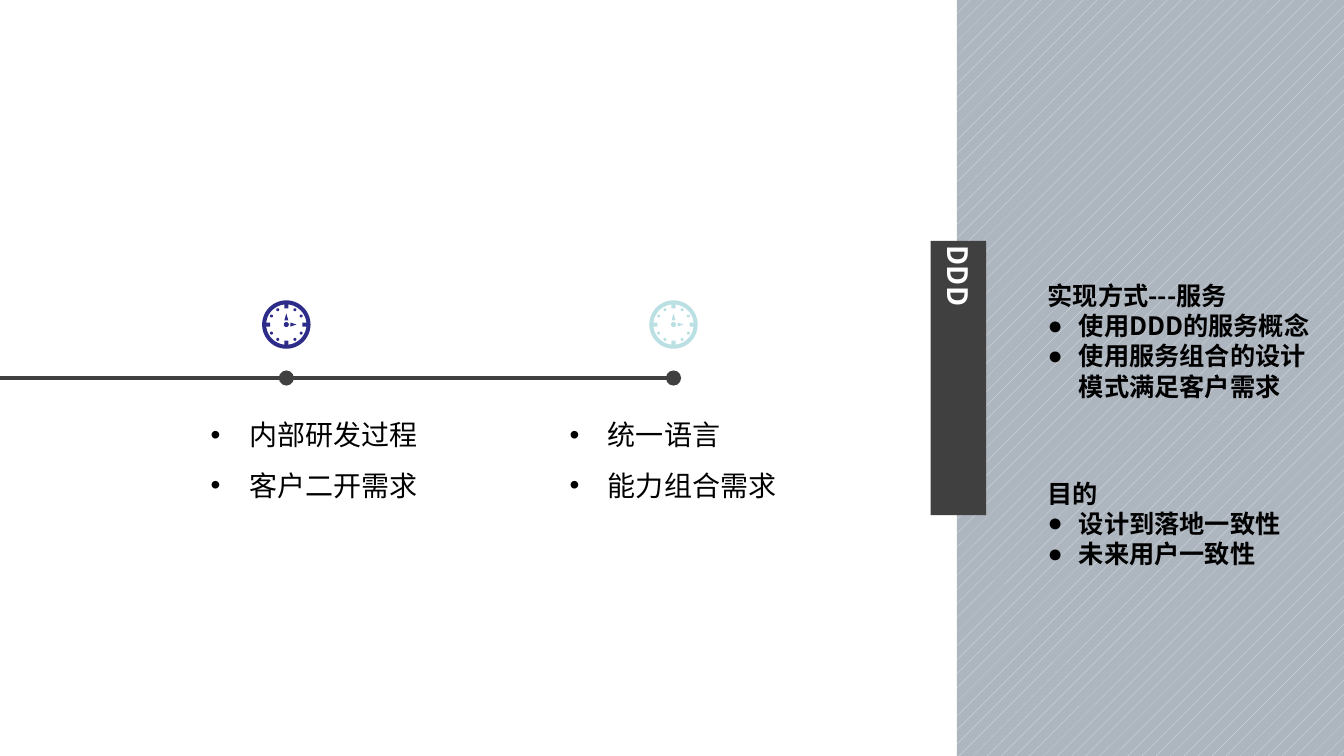
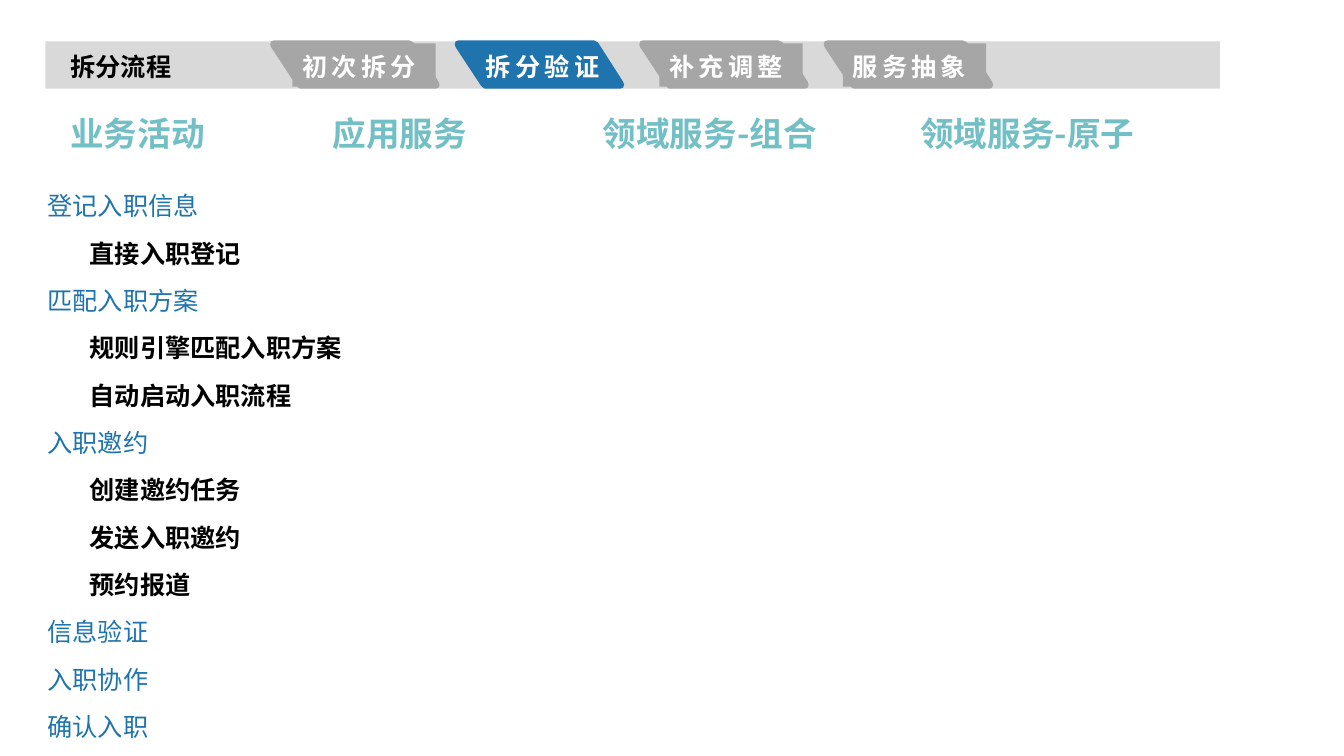
from math import cos, pi, sin

from lxml import etree
from pptx import Presentation
from pptx.dml.color import RGBColor
from pptx.enum import dml, shapes, text
from pptx.oxml.ns import qn
from pptx.util import Inches, Pt

FONT = "Noto Sans CJK SC"
BLACK = RGBColor(0x00, 0x00, 0x00)
WHITE = RGBColor(0xFF, 0xFF, 0xFF)
DARK = RGBColor(0x40, 0x40, 0x40)
NAVY = RGBColor(0x2D, 0x2D, 0x89)
PALE_TEAL = RGBColor(0xBB, 0xE0, 0xE3)
TEAL = RGBColor(0x72, 0xBF, 0xC5)
PANEL = RGBColor(0xAD, 0xB5, 0xBF)
PANEL_HATCH = RGBColor(0xE4, 0xE6, 0xEA)
BAND = RGBColor(0xD9, 0xD9, 0xD9)
GREY = RGBColor(0xA6, 0xA6, 0xA6)
BLUE = RGBColor(0x1F, 0x74, 0xAD)

# Timeline: dot centre x, clock colour, list left, list items
MILESTONES = [
    (2.84, NAVY, 1.99, ["内部研发过程", "客户二开需求"]),
    (6.68, PALE_TEAL, 5.55, ["统一语言", "能力组合需求"]),
]
TIMELINE_Y = 3.75
# Side panel: top, width, height, heading, items
PANEL_NOTES = [
    (2.73, 2.91, 1.31, "实现方式---服务",
     ["使用DDD的服务概念", "使用服务组合的设计模式满足客户需求"]),
    (4.69, 2.74, 1.01, "目的", ["设计到落地一致性", "未来用户一致性"]),
]

STEPS = ["初次拆分", "拆分验证", "补充调整", "服务抽象"]
ACTIVE_STEP = 1
COLUMNS = [(0.6, "业务活动"), (3.2, "应用服务"),
           (5.88, "领域服务-组合"), (9.03, "领域服务-原子")]
ACTIVITIES = [
    ("登记入职信息", ["直接入职登记"]),
    ("匹配入职方案", ["规则引擎匹配入职方案", "自动启动入职流程"]),
    ("入职邀约", ["创建邀约任务", "发送入职邀约", "预约报道"]),
    ("信息验证", []),
    ("入职协作", []),
    ("确认入职", []),
]
ROW_STEP = 0.47

TAB_OUTLINE = [(0.27, 0.45), (0.02, 0.07), (0.01, 0.04), (0.02, 0.01), (0.05, 0),
               (1.39, 0), (1.41, 0.01), (1.43, 0.02), (1.68, 0.41), (1.69, 0.44),
               (1.68, 0.47), (1.65, 0.48), (0.31, 0.48), (0.29, 0.47)]


def paint(sp, color):
    sp.shadow.inherit = False
    sp.fill.solid()
    sp.fill.fore_color.rgb = color
    sp.line.fill.background()


def add_block(slide, box, color, kind=shapes.MSO_SHAPE.RECTANGLE):
    sp = slide.shapes.add_shape(kind, *map(Inches, box))
    paint(sp, color)
    return sp


def add_outline(slide, contours, color):
    """Draw closed contours, given in inches, as one filled shape."""
    points = [[(Inches(x), Inches(y)) for x, y in c] for c in contours]
    builder = slide.shapes.build_freeform(*points[0][0], scale=1.0)
    for i, contour in enumerate(points):
        if i:
            builder.move_to(*contour[0])
        builder.add_line_segments(contour[1:], close=True)
    paint(builder.convert_to_shape(), color)


def bring_forward(ph, box):
    """Place a placeholder and lift it above the shapes drawn so far."""
    ph.left, ph.top, ph.width, ph.height = map(Inches, box)
    ph._element.getparent().append(ph._element)
    return ph


def set_frame(sp, anchor=text.MSO_ANCHOR.TOP):
    tf = sp.text_frame
    tf.word_wrap = True
    tf.auto_size = text.MSO_AUTO_SIZE.NONE
    tf.vertical_anchor = anchor
    return tf


def add_line(tf, words, size, color=BLACK, bold=True, bullet=None, indent=0,
             spacing=1.0, align=text.PP_ALIGN.LEFT, tracking=0):
    """Write one paragraph; with a bullet the indent hangs."""
    p = tf.paragraphs[0] if not tf.paragraphs[0].runs else tf.add_paragraph()
    p.alignment, p.line_spacing = align, spacing
    p.space_before = p.space_after = Pt(0)
    pPr = p._p.get_or_add_pPr()
    pPr.set("marL", str(Inches(indent)))
    pPr.set("indent", str(-Inches(indent) if bullet else 0))
    if bullet:
        etree.SubElement(pPr, qn("a:buFont")).set("typeface", "Arial")
        etree.SubElement(pPr, qn("a:buChar")).set("char", bullet)
    else:
        etree.SubElement(pPr, qn("a:buNone"))
    r = p.add_run()
    r.text = words
    r.font.name, r.font.size, r.font.bold = FONT, Pt(size), bold
    r.font.color.rgb = color
    rPr = r._r.get_or_add_rPr()
    etree.SubElement(rPr, qn("a:ea")).set("typeface", FONT)
    if tracking:
        rPr.set("spc", str(tracking * 100))


def circle(cx, cy, radius, n):
    return [(cx + radius * cos(2 * pi * i / n), cy + radius * sin(2 * pi * i / n))
            for i in range(n)]


def add_clock(slide, cx, cy, color):
    rim, face, tick, half = 0.24, 0.2, 0.16, 0.02
    quarter = [(face, -half), (tick, -half), (tick, half), (face, half)]
    quarter += [(face * cos(a * pi / 180), face * sin(a * pi / 180))
                for a in range(10, 81, 7)]
    inner = []
    for turn in range(4):
        inner += [(cx + x, cy + y) for x, y in quarter]
        quarter = [(-y, x) for x, y in quarter]
    hands = [[(0, -0.11), (0.02, -0.04), (-0.02, -0.04)],
             [(0.1, 0), (0.04, 0.02), (0.04, -0.02)]]
    dots = [circle(cx + 0.17 * cos(a * pi / 6), cy + 0.17 * sin(a * pi / 6), 0.015, 10)
            for a in range(12) if a % 3]
    add_outline(slide, [circle(cx, cy, rim, 72), inner, circle(cx, cy, 0.025, 16), *dots,
                        *[[(cx + x, cy + y) for x, y in h] for h in hands]], color)


def build_timeline(prs):
    slide = prs.slides.add_slide(prs.slide_layouts[4])
    title, *bodies = slide.placeholders
    line = slide.shapes.add_connector(
        shapes.MSO_CONNECTOR.STRAIGHT, 0, Inches(TIMELINE_Y),
        Inches(MILESTONES[-1][0]), Inches(TIMELINE_Y))
    line.line.color.rgb, line.line.width = DARK, Pt(3)
    etree.SubElement(line._element.spPr, qn("a:effectLst"))

    for (x, color, left, items), body in zip(MILESTONES, bodies[:2]):
        add_block(slide, (x - 0.075, TIMELINE_Y - 0.075, 0.15, 0.15), DARK,
                  shapes.MSO_SHAPE.OVAL)
        add_clock(slide, x, 3.22, color)
        tf = set_frame(bring_forward(body, (left, 4.05, 2.52, 0.98)),
                       text.MSO_ANCHOR.BOTTOM)
        for item in items:
            add_line(tf, item, 20, bold=False, bullet="•", indent=0.38, spacing=1.5)

    panel = add_block(slide, (9.49, 0, 3.84, 7.5), PANEL)
    panel.fill.patterned()
    panel.fill.pattern = dml.MSO_PATTERN.PERCENT_5
    panel.fill.fore_color.rgb, panel.fill.back_color.rgb = PANEL_HATCH, PANEL

    bring_forward(title, (9.23, 2.39, 0.55, 2.72))
    title.fill.solid()
    title.fill.fore_color.rgb = DARK
    tf = set_frame(title, text.MSO_ANCHOR.MIDDLE)
    tf._txBody.bodyPr.set("vert", "eaVert")
    add_line(tf, "DDD", 20, WHITE, align=text.PP_ALIGN.CENTER)

    for (top, width, height, heading, items), body in zip(PANEL_NOTES, bodies[2:]):
        tf = set_frame(bring_forward(body, (10.29, top, width, height)))
        add_line(tf, heading, 18)
        for item in items:
            add_line(tf, item, 18, bullet="●", indent=0.31)


def build_split_check(prs):
    slide = prs.slides.add_slide(prs.slide_layouts[1])
    title, body = slide.placeholders
    add_block(slide, (0.45, 0.41, 11.65, 0.47), BAND)
    for i in range(len(STEPS)):
        left = 2.67 + 1.83 * i
        add_outline(slide, [[(left + x, 0.4 + y) for x, y in TAB_OUTLINE]],
                    BLUE if i == ACTIVE_STEP else GREY)
    for i, step in enumerate(STEPS):
        label = slide.shapes.add_textbox(Inches(2.9 + 1.82 * i), Inches(0.43),
                                         Inches(1.42), Inches(0.43))
        if i != ACTIVE_STEP:
            paint(label, GREY)
        add_line(set_frame(label), step, 18, WHITE, spacing=1.1, tracking=3)

    add_line(set_frame(bring_forward(title, (0.6, 0.46, 1.54, 0.4))), "拆分流程", 18)
    for left, name in COLUMNS:
        head = slide.shapes.add_textbox(Inches(left), Inches(1.07), Inches(2.73), Inches(0.5))
        add_line(set_frame(head), name, 24, TEAL)

    tf = set_frame(bring_forward(body, (0.37, 1.67, 3.2, 5.75)))
    row = Pt(ROW_STEP * 72)
    for activity, services in ACTIVITIES:
        add_line(tf, activity, 18, BLUE, bold=False, spacing=row)
        for service in services:
            add_line(tf, service, 18, indent=0.42, spacing=row)


def main():
    prs = Presentation()
    prs.slide_width, prs.slide_height = Inches(13.33), Inches(7.5)
    build_timeline(prs)
    build_split_check(prs)
    prs.save("out.pptx")


if __name__ == "__main__":
    main()
